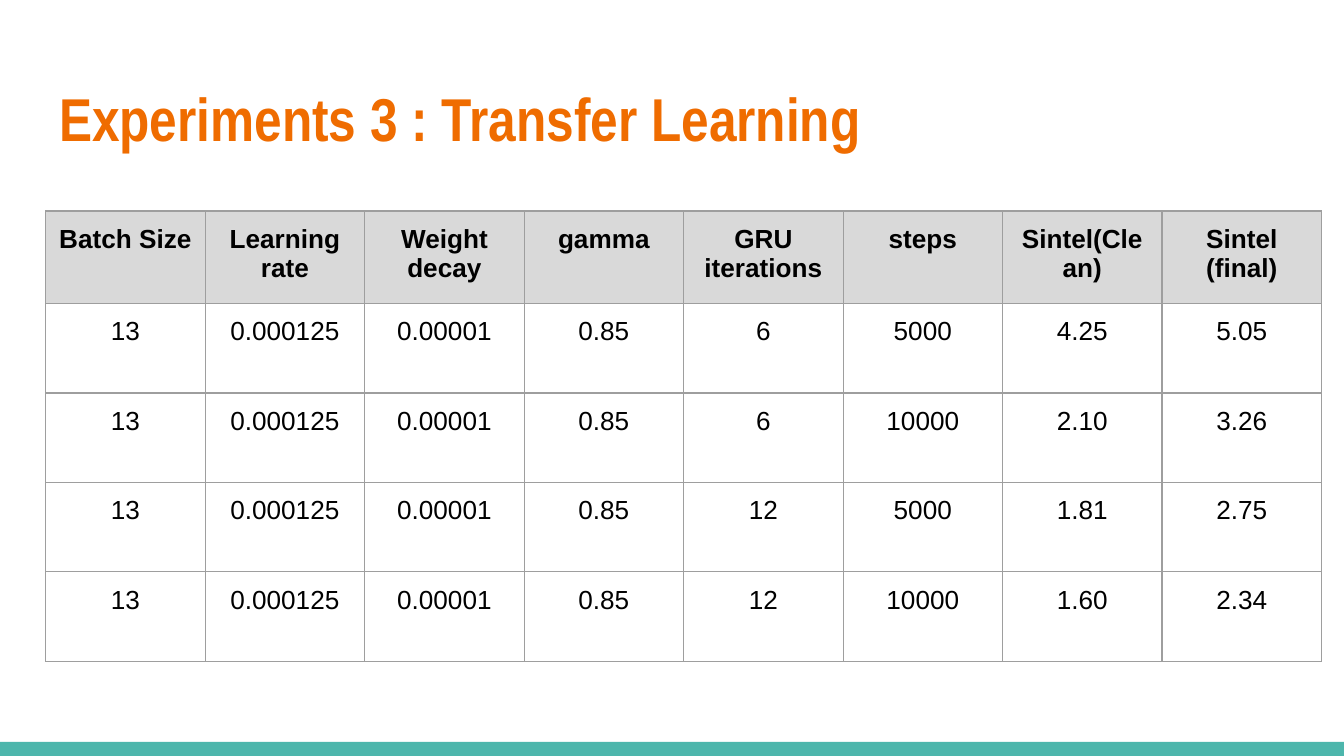
from dataclasses import dataclass

from lxml.etree import SubElement
from pptx import Presentation
from pptx.dml.color import RGBColor
from pptx.enum.shapes import MSO_SHAPE as Shape
from pptx.enum.text import MSO_ANCHOR as Anchor, PP_ALIGN as Align
from pptx.oxml.ns import qn
from pptx.util import Inches, Pt


@dataclass(frozen=True)
class Theme:
    title_color: str = "EF6C00"
    text_color: str = "000000"
    header_fill: str = "D9D9D9"
    border_color: str = "9E9E9E"
    bar_color: str = "4DB6AC"
    title_font: str = "Arial Narrow"
    body_font: str = "Arial"
    title_size: float = 32.4
    body_size: float = 14
    border_width: float = 0.75


THEME = Theme()
INSET = Inches(0.1)
COLUMN_WIDTH = Inches(1.187)
HEADER_HEIGHT = Inches(0.69)
ROW_HEIGHT = Inches(0.665)

HEADERS = ["Batch Size", "Learning rate", "Weight decay", "gamma",
           "GRU iterations", "steps", "Sintel(Clean)", "Sintel (final)"]
SHARED_SETTINGS = ["13", "0.000125", "0.00001", "0.85"]
RUNS = [
    ["6", "5000", "4.25", "5.05"],
    ["6", "10000", "2.10", "3.26"],
    ["12", "5000", "1.81", "2.75"],
    ["12", "10000", "1.60", "2.34"],
]


def write_text(frame, text, *, font=THEME.body_font, size=THEME.body_size,
               color=THEME.text_color, bold=False, align=Align.LEFT):
    frame.word_wrap = True
    para = frame.paragraphs[0]
    para.alignment = align
    span = para.add_run()
    span.text = text
    span.font.name = font
    span.font.size = Pt(size)
    span.font.bold = bold
    span.font.color.rgb = RGBColor.from_string(color)


def set_insets(holder):
    holder.margin_left = holder.margin_right = INSET
    holder.margin_top = holder.margin_bottom = INSET


def add_borders(cell):
    """Outline all four sides; the lines must precede the fill in the XML."""
    properties = cell._tc.get_or_add_tcPr()
    for index, side in enumerate(("a:lnL", "a:lnR", "a:lnT", "a:lnB")):
        line = SubElement(properties, qn(side), w=str(Pt(THEME.border_width)))
        fill = SubElement(line, qn("a:solidFill"))
        SubElement(fill, qn("a:srgbClr"), val=THEME.border_color)
        properties.insert(index, line)


def format_cell(cell, text, is_header):
    set_insets(cell)
    cell.vertical_anchor = Anchor.TOP
    if is_header:
        cell.fill.solid()
        cell.fill.fore_color.rgb = RGBColor.from_string(THEME.header_fill)
    else:
        cell.fill.background()
    add_borders(cell)
    write_text(cell.text_frame, text, bold=is_header, align=Align.CENTER)


def add_results_table(page, rows):
    heights = [HEADER_HEIGHT] + [ROW_HEIGHT] * (len(rows) - 1)
    table = page.shapes.add_table(
        len(rows), len(HEADERS), Inches(0.34), Inches(1.57),
        COLUMN_WIDTH * len(HEADERS), sum(heights)).table
    for column in table.columns:
        column.width = COLUMN_WIDTH
    for row_index, (values, height) in enumerate(zip(rows, heights)):
        table.rows[row_index].height = height
        for column_index, text in enumerate(values):
            format_cell(table.cell(row_index, column_index), text, row_index == 0)


def add_bottom_bar(page, deck):
    top = Inches(5.52)
    bar = page.shapes.add_shape(
        Shape.RECTANGLE, 0, top, deck.slide_width, deck.slide_height - top)
    bar.shadow.inherit = False
    bar.fill.solid()
    bar.fill.fore_color.rgb = RGBColor.from_string(THEME.bar_color)
    bar.line.fill.background()


def set_title(page, text):
    title = page.shapes.title
    title.left, title.top = Inches(0.34), Inches(0.49)
    title.width, title.height = Inches(9.32), Inches(0.77)
    frame = title.text_frame
    set_insets(frame)
    frame.vertical_anchor = Anchor.MIDDLE
    write_text(frame, text, font=THEME.title_font, size=THEME.title_size,
               color=THEME.title_color, bold=True)


def main():
    deck = Presentation()
    deck.slide_width, deck.slide_height = Inches(10), Inches(5.625)
    page = deck.slides.add_slide(deck.slide_layouts[5])
    add_bottom_bar(page, deck)
    set_title(page, "Experiments 3 : Transfer Learning")
    add_results_table(page, [HEADERS] + [SHARED_SETTINGS + run for run in RUNS])
    deck.save("out.pptx")


if __name__ == "__main__":
    main()
